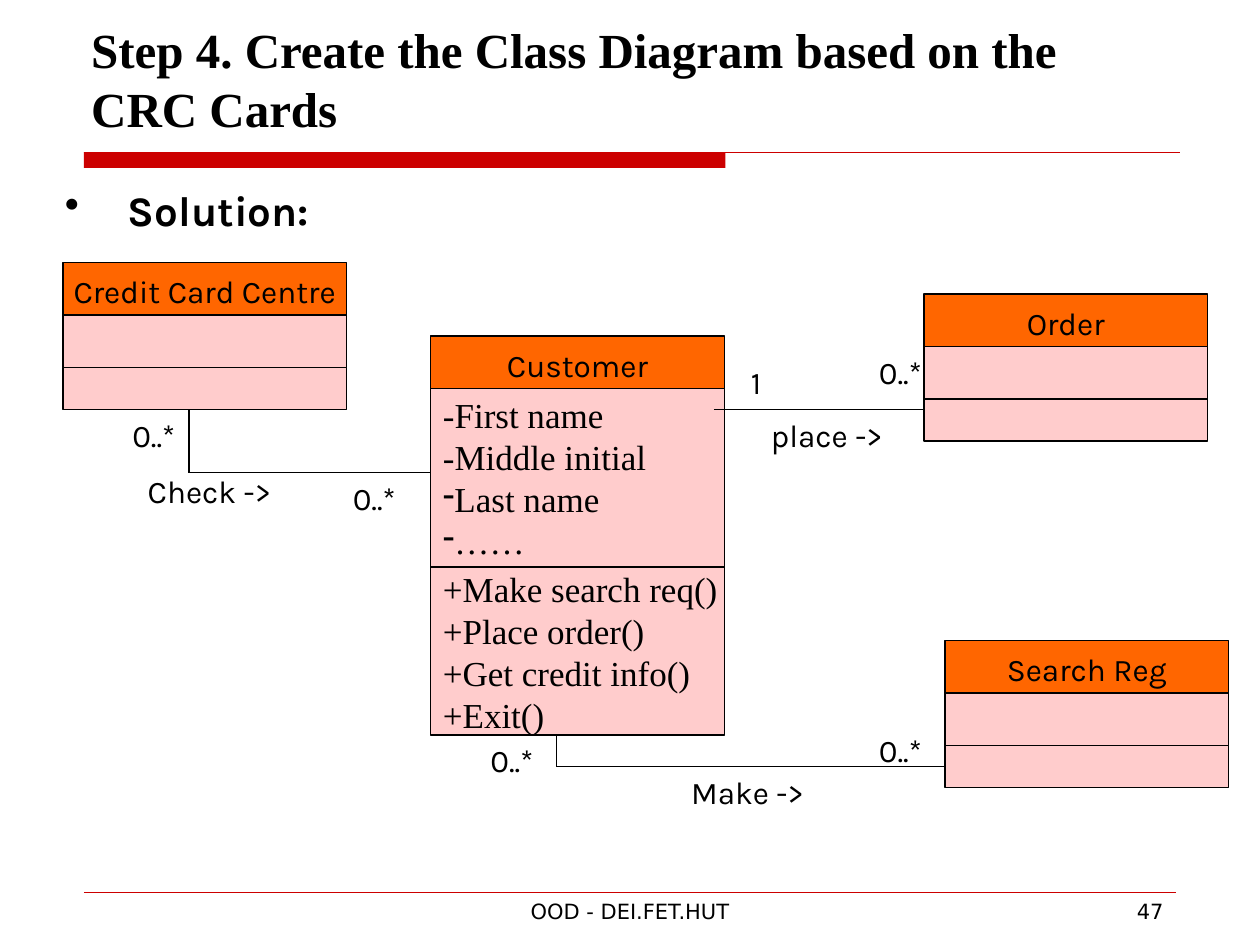
from lxml.etree import SubElement
from pptx import Presentation
from pptx.dml.color import RGBColor
from pptx.enum.shapes import MSO_CONNECTOR, MSO_SHAPE
from pptx.enum.text import MSO_ANCHOR, PP_ALIGN
from pptx.oxml.ns import qn
from pptx.util import Inches, Pt

BLACK, RED, ORANGE, PINK = "000000", "CC0000", "FF6600", "FFCCCC"
SERIF, ROUND, SANS = "Times New Roman", "Karla", "DejaVu Sans"
HEADER_ROWS = 5
HEADER_OVERLAP = 0.5


def color(value):
    return RGBColor.from_string(value)


def grid(*cells):
    return [Inches(cell / 12) for cell in cells]


class ClassDiagram:
    def __init__(self, slide):
        self.slide = slide

    def fill_text(self, shape, lines, font, size, align=PP_ALIGN.LEFT, bold=False,
                  anchor=MSO_ANCHOR.TOP, wrap=True):
        frame = shape.text_frame
        frame.text = "\n".join(lines)
        frame.word_wrap = wrap
        frame.vertical_anchor = anchor
        for paragraph in frame.paragraphs:
            paragraph.alignment = align
            for run in paragraph.runs:
                run.font.name = font
                run.font.size = Pt(size)
                run.font.bold = bold
                run.font.color.rgb = color(BLACK)

    def bullet(self, paragraph, mark, indent=0):
        properties = paragraph._p.get_or_add_pPr()
        properties.set("marL", str(Inches(indent)))
        properties.set("indent", str(-Inches(indent)))
        SubElement(properties, qn("a:buChar"), char=mark)

    def text(self, box, words, font, size, **style):
        shape = self.slide.shapes.add_textbox(*grid(*box))
        self.fill_text(shape, [words], font, size, **style)
        return shape

    def label(self, left, top, width, words):
        self.text((left, top, width, 4.8), words, ROUND, 18,
                  align=PP_ALIGN.CENTER, wrap=False)

    def rectangle(self, box, fill, outline=BLACK):
        shape = self.slide.shapes.add_shape(MSO_SHAPE.RECTANGLE, *grid(*box))
        shape.shadow.inherit = False
        shape.fill.solid()
        shape.fill.fore_color.rgb = color(fill)
        if outline:
            shape.line.color.rgb = color(outline)
            shape.line.width = Pt(0.75)
        else:
            shape.line.fill.background()
        return shape

    def line(self, start, end, stroke=BLACK, width=1):
        connector = self.slide.shapes.add_connector(
            MSO_CONNECTOR.STRAIGHT, *grid(*start, *end))
        connector.line.color.rgb = color(stroke)
        connector.line.width = Pt(width)
        SubElement(connector._element.spPr, qn("a:effectLst"))
        return connector

    def members(self, shape, lines):
        if not lines:
            return
        self.fill_text(shape, lines, SERIF, 20, anchor=MSO_ANCHOR.MIDDLE)
        frame = shape.text_frame
        frame.margin_top = frame.margin_bottom = frame.margin_right = 0

    def class_box(self, left, top, name, width=27, attribute_rows=5,
                  operation_rows=4, attributes=(), operations=()):
        header = self.rectangle((left, top, width, HEADER_ROWS + HEADER_OVERLAP), ORANGE)
        self.fill_text(header, [name], ROUND, 18, align=PP_ALIGN.CENTER,
                       anchor=MSO_ANCHOR.MIDDLE, wrap=False)
        top += HEADER_ROWS
        upper = self.rectangle((left, top, width, attribute_rows), PINK)
        lower = self.rectangle((left, top + attribute_rows, width, operation_rows), PINK)
        self.members(upper, attributes)
        self.members(lower, operations)
        return upper, lower


def main():
    presentation = Presentation()
    presentation.slide_width, presentation.slide_height = grid(120, 90)
    slide = presentation.slides.add_slide(presentation.slide_layouts[6])
    diagram = ClassDiagram(slide)

    diagram.rectangle((8, 14.5, 61.1, 1.5), RED, outline=None)
    diagram.line((8, 14.5), (112.4, 14.5), RED, 0.75)
    diagram.line((8, 85), (112, 85), RED, 0.25)
    diagram.text((41, 85, 38, 3.2), "OOD - DEI.FET.HUT", SANS, 12, align=PP_ALIGN.CENTER)
    diagram.text((86, 85, 26, 3.2), "47", SANS, 12, align=PP_ALIGN.RIGHT)
    diagram.text((7.5, 1, 105, 13), "Step 4. Create the Class Diagram based on the CRC Cards",
                 SERIF, 28, bold=True, anchor=MSO_ANCHOR.MIDDLE)
    solution = diagram.text((5, 17, 107, 6), "Solution:", ROUND, 24, bold=True)
    diagram.bullet(solution.text_frame.paragraphs[0], "•", 0.5)

    attributes, _ = diagram.class_box(
        41, 32, "Customer", 28, 17, 16,
        ["-First name", "-Middle initial", "Last name", "……"],
        ["+Make search req()", "+Place order()", "+Get credit info()", "+Exit()"])
    for paragraph in attributes.text_frame.paragraphs[2:]:
        diagram.bullet(paragraph, "-")
    diagram.class_box(6, 25, "Credit Card Centre")
    diagram.class_box(88, 28, "Order")
    _, search_operations = diagram.class_box(90, 61, "Search Reg")

    diagram.line((18, 39), (18, 45))
    diagram.line((18, 45), (41, 45))
    diagram.line((68, 39), (88, 39))
    diagram.line((53, 70), (53, 73))
    diagram.line((53, 73), (90, 73)).end_connect(search_operations, 1)

    for left, top, width, words in [
        (12.8, 44.4, 14.3, "Check ->"),
        (72.1, 39, 13.3, "place ->"),
        (64.4, 73, 13.6, "Make ->"),
        (70, 34, 4, "1"),
    ]:
        diagram.label(left, top, width, words)
    for left, top in [(11, 39), (32, 45), (82.1, 33), (82.1, 69), (45.1, 70)]:
        diagram.label(left, top, 7.3, "0..*")

    presentation.save("out.pptx")


if __name__ == "__main__":
    main()
